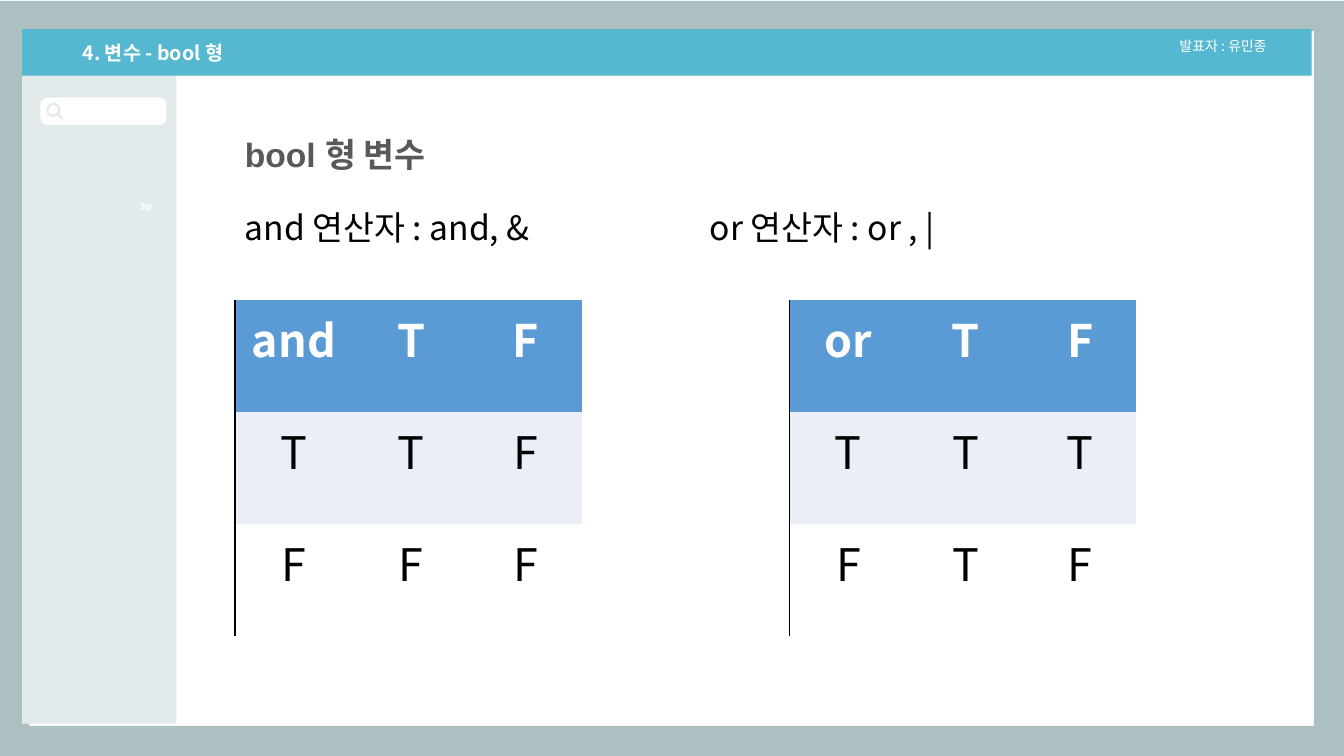
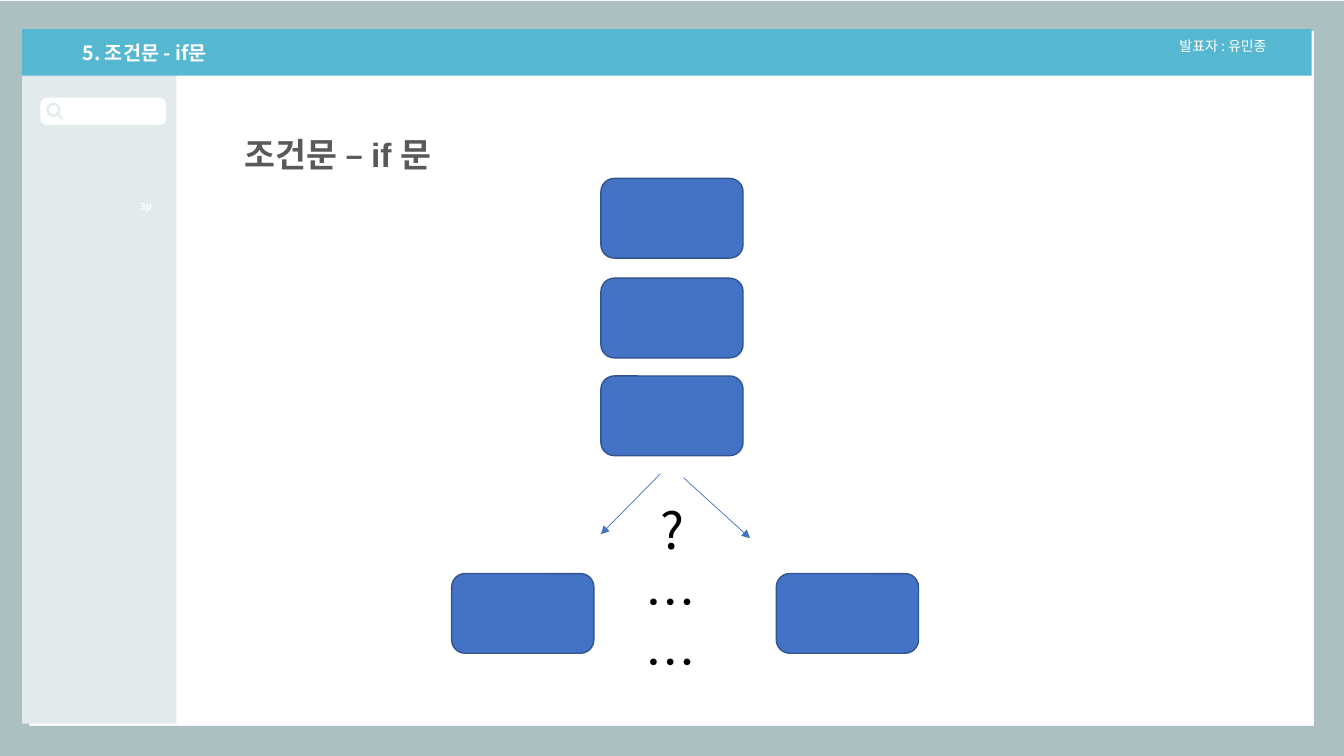
import pptx
import pptx.util
import pptx.dml.color
import pptx.enum.shapes
import pptx.enum.text
import pptx.oxml
import pptx.oxml.ns
from dataclasses import dataclass
from typing import Any

SCALE = 9144
FONT = "Noto Sans CJK KR"
KIND = pptx.enum.shapes.MSO_SHAPE
ALIGN = pptx.enum.text.PP_ALIGN
HUES = {
    "frame": "ACC0C1", "side": "E2EAEC", "bar": "55B7D0", "white": "FFFFFF",
    "title": "595959", "ink": "000000", "head": "5B9BD5", "band": "EAEFF7",
    "box": "4472C4", "edge": "325491",
}


@dataclass(frozen=True)
class Area:
    left: int
    top: int
    width: int
    height: int


@dataclass(frozen=True)
class Style:
    size: int
    hue: str
    bold: bool = False
    face: str = FONT


@dataclass(frozen=True)
class Part:
    kind: Any
    area: Area
    fill: str
    edge: str = ""
    round: float | None = None
    turn: int = 0


@dataclass(frozen=True)
class Label:
    text: str
    area: Area
    style: Style
    wrap: bool = False
    format: tuple = ()


@dataclass(frozen=True)
class Arrow:
    left: int
    top: int
    right: int
    low: int


BAR = Style(14, "white", True)
TITLE = Style(24, "title", True, "Arial")
BODY = Style(24, "ink")
LARGE = Style(36, "ink")
HEAD = Style(32, "white", True)
CELL = Style(32, "ink")

BASE = (
    Part(KIND.FRAME, Area(-1, 1, 1334, 749), "frame", round=0.04),
    Part(KIND.RECTANGLE, Area(22, 73, 153, 645), "side"),
)
SEARCH = (
    Part(KIND.ROUNDED_RECTANGLE, Area(40, 97, 125, 27), "white", round=0.25),
    Part(KIND.DONUT, Area(46, 102, 14, 14), "side", round=0.16),
    Part(KIND.ROUNDED_RECTANGLE, Area(55, 114, 8, 2), "side", round=0.25, turn=45),
)
MARKS = (
    Label("발표자 : 유민종", Area(1160, 32, 117, 27), Style(10, "white")),
    Label("3p", Area(129, 194, 35, 22), Style(7, "white", True)),
)
BOXES = ((596, 177), (596, 276), (596, 373), (448, 569), (770, 569))
ARROWS = (Arrow(678, 474, 744, 534), Arrow(655, 470, 596, 530))
GRIDS = (
    (233, (("and", "T", "F"), ("T", "T", "F"), ("F", "F", "F"))),
    (783, (("or", "T", "F"), ("T", "T", "T"), ("F", "T", "F"))),
)


def px(count: int) -> int:
    return pptx.util.Emu(count * SCALE)


def place(area: Area) -> tuple:
    return px(area.left), px(area.top), px(area.width), px(area.height)


def color(hue: str) -> pptx.dml.color.RGBColor:
    return pptx.dml.color.RGBColor.from_string(HUES[hue])


def apply(item: Any, format: dict) -> None:
    for name, value in format.items():
        setattr(item, name, value)


def paint(fill: Any, hue: str) -> None:
    fill.solid()
    fill.fore_color.rgb = color(hue)


def write(frame: Any, text: str, style: Style, format: dict) -> None:
    para = frame.paragraphs[0]
    apply(para, format)
    run = para.add_run()
    run.text = text
    apply(run.font, {
        "size": pptx.util.Pt(style.size), "bold": style.bold, "name": style.face,
    })
    run.font.color.rgb = color(style.hue)
    east = pptx.oxml.parse_xml(
        f'<a:ea {pptx.oxml.ns.nsdecls("a")} typeface="{FONT}"/>')
    run.font._element.find(pptx.oxml.ns.qn("a:latin")).addnext(east)


def draw(slide: Any, part: Part) -> Any:
    shape = slide.shapes.add_shape(part.kind, *place(part.area))
    shape.shadow.inherit = False
    shape.rotation = part.turn
    paint(shape.fill, part.fill)
    if part.round is not None:
        shape.adjustments[0] = part.round
    if part.edge:
        paint(shape.line.fill, part.edge)
        shape.line.width = pptx.util.Pt(1)
    else:
        shape.line.fill.background()
    return shape


def label(slide: Any, item: Label) -> None:
    frame = slide.shapes.add_textbox(*place(item.area)).text_frame
    frame.word_wrap = item.wrap
    write(frame, item.text, item.style, dict(item.format))


def point(slide: Any, arrow: Arrow) -> None:
    line = slide.shapes.add_connector(
        pptx.enum.shapes.MSO_CONNECTOR.STRAIGHT,
        px(arrow.left), px(arrow.top), px(arrow.right), px(arrow.low))
    paint(line.line.fill, "box")
    line.line.width = pptx.util.Pt(0.5)
    space = pptx.oxml.ns.nsdecls("a")
    line.line._get_or_add_ln().append(
        pptx.oxml.parse_xml(f'<a:tailEnd {space} type="triangle"/>'))
    line._element.spPr.append(pptx.oxml.parse_xml(f"<a:effectLst {space}/>"))


def rim(cell: Any, first: bool) -> None:
    space = pptx.oxml.ns.nsdecls("a")
    for slot, side in enumerate("LRTB"):
        ink = "<a:noFill/>"
        if first and side == "L":
            ink = f'<a:solidFill><a:srgbClr val="{HUES["ink"]}"/></a:solidFill>'
        cell._tc.get_or_add_tcPr().insert(slot, pptx.oxml.parse_xml(
            f'<a:ln{side} {space} w="12700">{ink}</a:ln{side}>'))


def grid(slide: Any, left: int, rows: tuple) -> None:
    table = slide.shapes.add_table(
        3, 3, *place(Area(left, 298, 344, 333))).table
    for col, width in zip(table.columns, (117, 116, 111)):
        col.width = px(width)
    for row in table.rows:
        row.height = px(111)
    for high, (words, fill) in enumerate(zip(rows, ("head", "band", "white"))):
        for wide, word in enumerate(words):
            cell = table.cell(high, wide)
            paint(cell.fill, fill)
            rim(cell, wide == 0)
            style = CELL if high else HEAD
            write(cell.text_frame, word, style, {"alignment": ALIGN.CENTER})


def start(deck: Any, head: str, title: str) -> Any:
    slide = deck.slides.add_slide(deck.slide_layouts[6])
    for part in BASE:
        draw(slide, part)
    bar = draw(slide, Part(KIND.RECTANGLE, Area(22, 29, 1279, 46), "bar"))
    frame = bar.text_frame
    frame.vertical_anchor = pptx.enum.text.MSO_ANCHOR.MIDDLE
    write(frame, head, BAR, {"alignment": ALIGN.LEFT, "level": 1})
    frame.paragraphs[0]._p.get_or_add_pPr().set("marL", str(px(50)))
    for part in SEARCH:
        draw(slide, part)
    for item in MARKS:
        label(slide, item)
    label(slide, Label(title, Area(233, 108, 1024, 64), TITLE, True,
                       (("line_spacing", 1.5),)))
    return slide


def logic(deck: Any) -> None:
    slide = start(deck, "4. 변수 - bool 형", "bool 형 변수")
    label(slide, Label("and 연산자 : and, &", Area(233, 200, 320, 50), BODY))
    label(slide, Label("or 연산자 : or , |", Area(694, 200, 280, 50), BODY))
    for left, rows in GRIDS:
        grid(slide, left, rows)


def branch(deck: Any) -> None:
    slide = start(deck, "5. 조건문 - if문", "조건문 – if 문")
    for left, top in BOXES:
        draw(slide, Part(KIND.ROUNDED_RECTANGLE, Area(left, top, 141, 79),
                         "box", "edge"))
    for arrow in ARROWS:
        point(slide, arrow)
    label(slide, Label("?", Area(645, 490, 43, 71), LARGE))
    label(slide, Label("……", Area(630, 562, 95, 71), LARGE, True,
                       (("line_spacing", pptx.util.Pt(43)),)))


def main() -> None:
    deck = pptx.Presentation()
    apply(deck, {"slide_width": px(1333), "slide_height": px(750)})
    logic(deck)
    branch(deck)
    deck.save("out.pptx")


if __name__ == "__main__":
    main()
